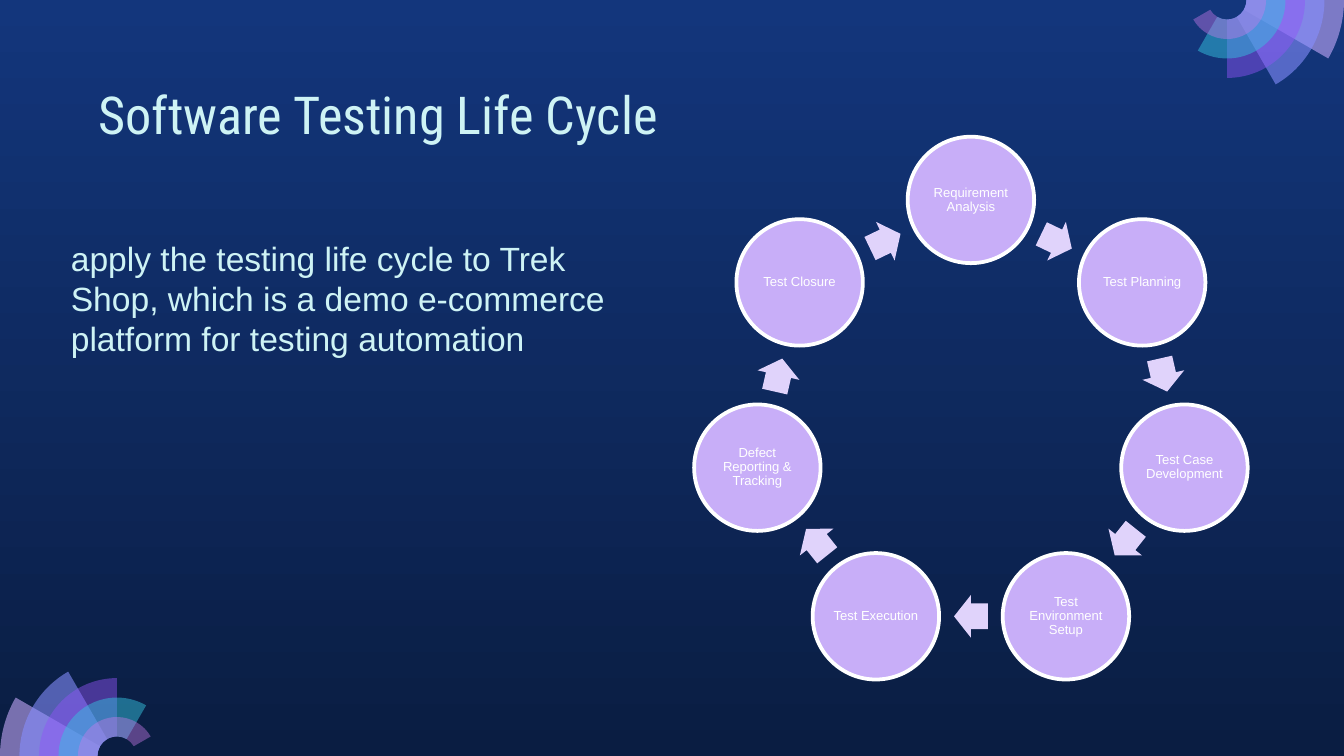
from dataclasses import dataclass
from math import cos, pi, radians, sin, tan

from lxml.etree import SubElement
from pptx import Presentation
from pptx.dml.color import RGBColor
from pptx.enum.shapes import MSO_SHAPE as Preset
from pptx.enum.text import MSO_ANCHOR as Anchor, MSO_AUTO_SIZE as AutoSize, PP_ALIGN as Align
from pptx.oxml.ns import qn
from pptx.shapes.autoshape import Shape
from pptx.slide import Slide
from pptx.text.text import TextFrame
from pptx.util import Cm, Pt

COLORS = {
    "sky": "13367C", "night": "0A1D42", "text": "CEF3F5", "white": "FFFFFF",
    "stage": "C8AEF8", "arrow": "E0D3FB",
    "lilac": "C8ACFD", "periwinkle": "878FFF", "violet": "9154F8",
    "cyan": "35C2DF", "orchid": "CA7BEB",
}
WIDTH, HEIGHT = 25.4, 14.29
STAGES = ["Requirement Analysis", "Test Planning", "Test Case Development",
          "Test Environment Setup", "Test Execution",
          "Defect Reporting & Tracking", "Test Closure"]
CENTER_X, CENTER_Y, RING_RADIUS = 18.35, 7.92, 4.14
STAGE_SIZE = 2.39
ARROW_WIDTH, ARROW_HEIGHT = 0.64, 0.81
FAN_RADIUS = 2.21
BAND = FAN_RADIUS / 6

Point = tuple[float, float]


@dataclass(frozen=True)
class Petal:
    color: str
    opacity: int
    bands: int
    sweep: int


@dataclass(frozen=True)
class Fan:
    x: float
    y: float
    direction: int  # 1 opens up and left, -1 down and right


PETALS = [Petal("lilac", 58, 6, 30), Petal("periwinkle", 58, 5, 60),
          Petal("violet", 46, 4, 90), Petal("cyan", 49, 3, 120),
          Petal("orchid", 42, 2, 150)]
FANS = [Fan(FAN_RADIUS, HEIGHT, 1), Fan(WIDTH - FAN_RADIUS, 0, -1)]


def rgb(name: str) -> RGBColor:
    return RGBColor.from_string(COLORS[name])


def paint(shape: Shape, color: str) -> None:
    """Give a flat fill with neither outline nor shadow."""
    shape.shadow.inherit = False
    shape.fill.solid()
    shape.fill.fore_color.rgb = rgb(color)
    shape.line.fill.background()


def write(frame: TextFrame, text: str, font: str, size: float, color: str,
          align: Align = Align.LEFT, anchor: Anchor = Anchor.TOP) -> None:
    frame.text = text
    frame.word_wrap = True
    frame.auto_size = AutoSize.NONE
    frame.vertical_anchor = anchor
    paragraph = frame.paragraphs[0]
    paragraph.alignment = align
    run_font = paragraph.runs[0].font
    run_font.name, run_font.size, run_font.color.rgb = font, Pt(size), rgb(color)


def arc_points(fan: Fan, radius: float, sweep: int) -> list[Point]:
    """Bezier points of an arc, split at 90 degrees: ends and two handles per piece."""
    def place(angle: float, handle: float = 0) -> Point:
        x = radius * (cos(angle) - handle * sin(angle))
        y = radius * (sin(angle) + handle * cos(angle))
        return Cm(fan.x - fan.direction * x), Cm(fan.y - fan.direction * y)

    points = [place(0)]
    for first in range(0, sweep, 90):
        start, end = radians(first), radians(min(first + 90, sweep))
        handle = 4 / 3 * tan((end - start) / 4)
        points += [place(start, handle), place(end, -handle), place(end)]
    return points


def curve_lines(shape: Shape, skipped: int) -> None:
    """Turn each three line segments into a curve, save the one between the arcs."""
    lines = list(shape._element.iter(qn("a:lnTo")))
    del lines[skipped]
    for position in range(0, len(lines), 3):
        trio = lines[position:position + 3]
        curve = trio[0].getparent().makeelement(qn("a:cubicBezTo"), {})
        trio[0].addprevious(curve)
        for line in trio:
            curve.append(line[0])
            line.getparent().remove(line)


def draw_petal(slide: Slide, fan: Fan, petal: Petal) -> None:
    outer = arc_points(fan, petal.bands * BAND, petal.sweep)
    inner = arc_points(fan, BAND, petal.sweep)[::-1]
    builder = slide.shapes.build_freeform(*outer[0])
    builder.add_line_segments(outer[1:] + inner, close=True)
    shape = builder.convert_to_shape()
    curve_lines(shape, len(outer) - 1)
    paint(shape, petal.color)
    color = shape._element.spPr.find(qn("a:solidFill"))[0]
    SubElement(color, qn("a:alpha")).set("val", str(petal.opacity * 1000))


def ring_point(position: float, radius: float) -> Point:
    """Point on the cycle, counted in stages clockwise from the top."""
    angle = 2 * pi * position / len(STAGES)
    return CENTER_X + radius * sin(angle), CENTER_Y - radius * cos(angle)


def add_centered(slide: Slide, preset: Preset, center: Point,
                 width: float, height: float, color: str) -> Shape:
    x, y = center
    shape = slide.shapes.add_shape(preset, Cm(x - width / 2), Cm(y - height / 2),
                                   Cm(width), Cm(height))
    paint(shape, color)
    return shape


def draw_stage(slide: Slide, index: int, name: str) -> None:
    circle = add_centered(slide, Preset.OVAL, ring_point(index, RING_RADIUS),
                          STAGE_SIZE, STAGE_SIZE, "stage")
    circle.line.color.rgb = rgb("white")
    circle.line.width = Pt(2)
    frame = circle.text_frame
    frame.margin_left = frame.margin_right = Cm(0.02)
    frame.margin_top = frame.margin_bottom = Cm(0.02)
    write(frame, name, "Arial", 7, "white", Align.CENTER, Anchor.MIDDLE)
    frame.paragraphs[0].line_spacing = 0.9


def draw_arrow(slide: Slide, index: int) -> None:
    """Point from one stage to the next, halfway between them."""
    chord_radius = RING_RADIUS * cos(pi / len(STAGES))
    arrow = add_centered(slide, Preset.RIGHT_ARROW, ring_point(index + 0.5, chord_radius),
                         ARROW_WIDTH, ARROW_HEIGHT, "arrow")
    arrow.adjustments[0], arrow.adjustments[1] = 0.6, 0.5
    arrow.rotation = 360 * (index + 0.5) / len(STAGES)


def main() -> None:
    presentation = Presentation()
    presentation.slide_width, presentation.slide_height = Cm(WIDTH), Cm(HEIGHT)
    slide = presentation.slides.add_slide(presentation.slide_layouts[5])

    background = slide.background.fill
    background.gradient()
    background.gradient_angle = 270
    for stop, color in zip(background.gradient_stops, ("sky", "night")):
        stop.color.rgb = rgb(color)

    for fan in FANS:
        for petal in PETALS:
            draw_petal(slide, fan, petal)

    title = slide.shapes.title
    title.left, title.top, title.width, title.height = Cm(1.61), Cm(1.3), Cm(11.1), Cm(1.6)
    frame = title.text_frame
    frame.margin_left = frame.margin_right = Cm(0.25)
    frame.margin_top = frame.margin_bottom = Cm(0.25)
    write(frame, "Software Testing Life Cycle", "Roboto Condensed", 28, "text")

    task = slide.shapes.add_textbox(Cm(1.09), Cm(4.37), Cm(11.1), Cm(2.57))
    write(task.text_frame, "apply the testing life cycle to Trek Shop, which is a demo "
          "e-commerce platform for testing automation", "Arial", 18, "text")

    for index, name in enumerate(STAGES):
        draw_stage(slide, index, name)
        draw_arrow(slide, index)

    presentation.save("out.pptx")


if __name__ == "__main__":
    main()
